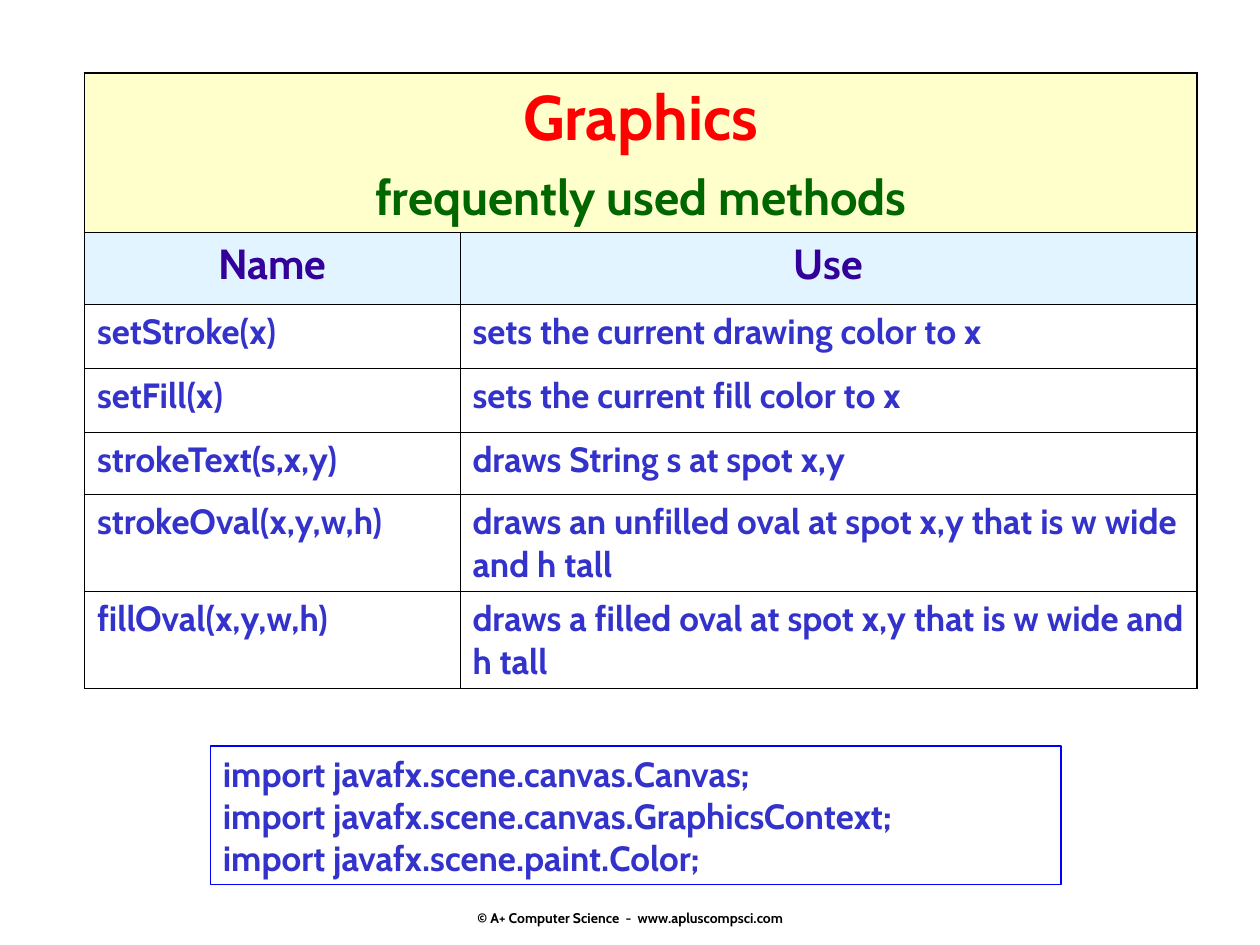
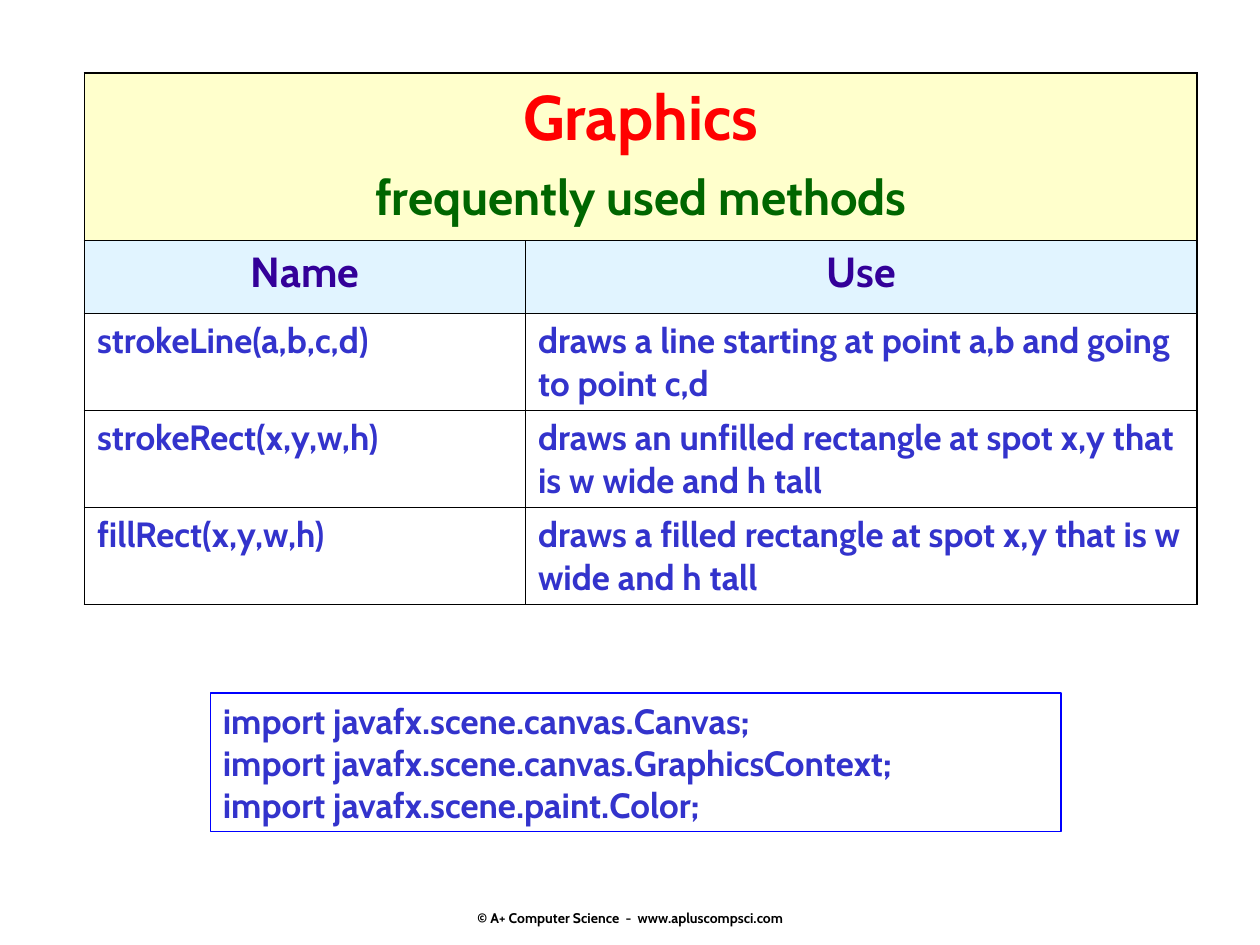
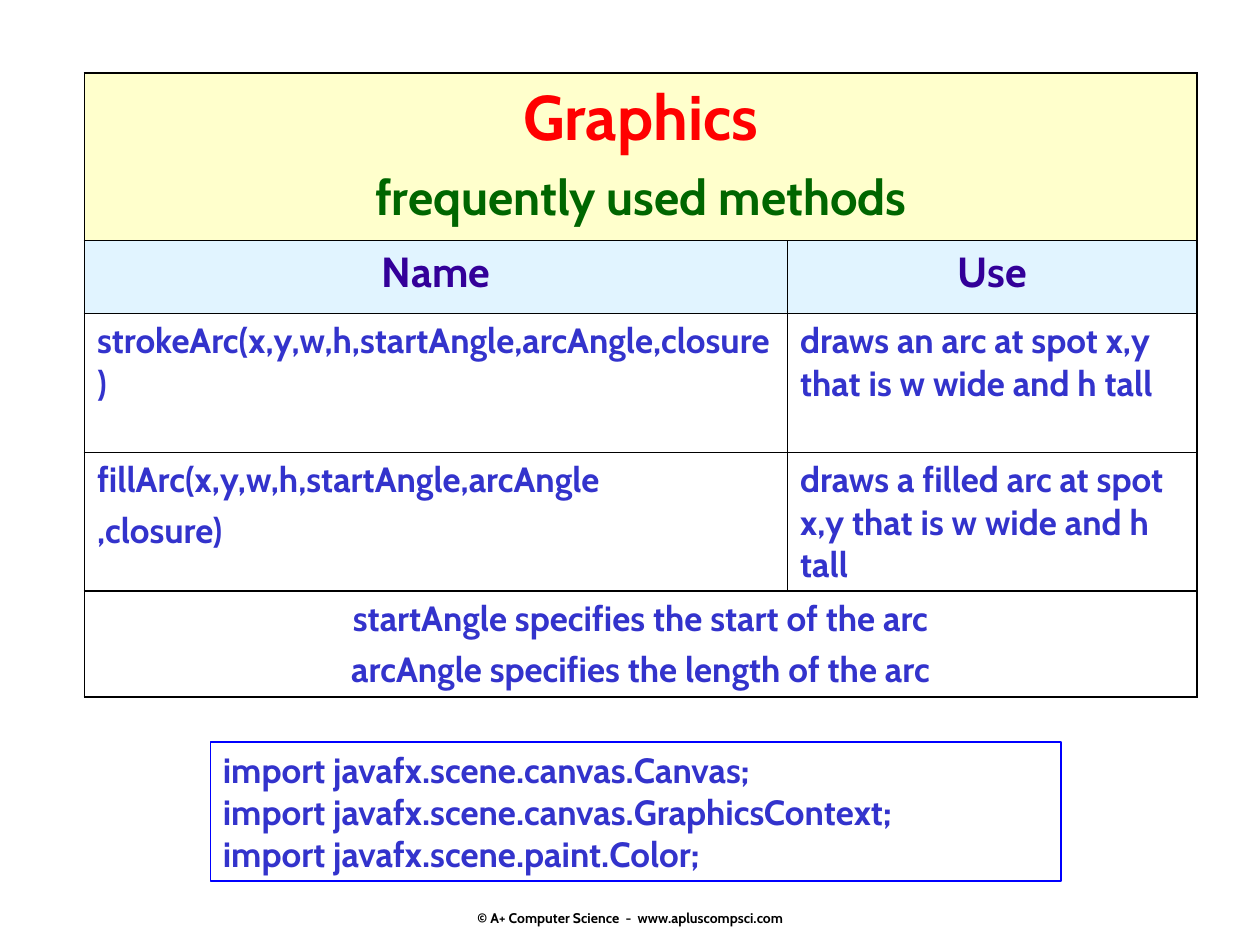
from dataclasses import dataclass

from lxml import etree
from pptx import Presentation
from pptx.dml import color as dml
from pptx.enum import shapes, text
from pptx.oxml import ns
from pptx.util import Inches, Pt


@dataclass(frozen=True)
class Theme:
    font: str = "Cabin"
    black: str = "000000"
    title: str = "FF0000"
    subtitle: str = "006600"
    heading: str = "330099"
    body: str = "3333CC"
    frame: str = "0000FF"
    title_fill: str = "FFFFCC"
    heading_fill: str = "E1F4FF"
    title_size: int = 36
    subtitle_size: int = 28
    heading_size: int = 24
    body_size: int = 20
    footer_size: int = 8
    thin: float = 0.45
    thick: float = 1.08
    frame_width: float = 1


THEME = Theme()
CENTER = text.PP_ALIGN.CENTER
LEFT = text.PP_ALIGN.LEFT
TABLE_BOX = (0.67, 0.58, 8.83)
FOOTER_BOX = (3.42, 6.85, 3.17, 0.5)
FOOTER = "© A+ Computer Science  -  www.apluscompsci.com"
IMPORTS = [
    "import javafx.scene.canvas.Canvas;",
    "import javafx.scene.canvas.GraphicsContext;",
    "import javafx.scene.paint.Color;",
]

PAGES = [
    dict(
        name_width=2.98,
        heights=[1.26, 0.57, 0.51, 0.51, 0.49, 0.77, 0.77],
        methods=[
            (["setStroke(x)"], "sets the current drawing color to x"),
            (["setFill(x)"], "sets the current fill color to x"),
            (["strokeText(s,x,y)"], "draws String s at spot x,y"),
            (["strokeOval(x,y,w,h)"],
             "draws an unfilled oval at spot x,y that is w wide and h tall"),
            (["fillOval(x,y,w,h)"],
             "draws a filled oval at spot x,y that is w wide and h tall"),
        ],
        notes=[],
        imports_top=5.92,
    ),
    dict(
        name_width=3.5,
        heights=[1.33, 0.58, 0.77, 0.77, 0.77],
        methods=[
            (["strokeLine(a,b,c,d)"],
             "draws a line starting at point a,b and going to point c,d"),
            (["strokeRect(x,y,w,h)"],
             "draws an unfilled rectangle at spot x,y that is w wide and h tall"),
            (["fillRect(x,y,w,h)"],
             "draws a filled rectangle at spot x,y that is w wide and h tall"),
        ],
        notes=[],
        imports_top=5.5,
    ),
    dict(
        name_width=5.58,
        heights=[1.33, 0.58, 1.1, 1.1, 0.84],
        methods=[
            (["strokeArc(x,y,w,h,startAngle,arcAngle,closure)"],
             "draws an arc at spot x,y that is w wide and h tall"),
            (["fillArc(x,y,w,h,startAngle,arcAngle", ",closure)"],
             "draws a filled arc at spot x,y that is w wide and h tall"),
        ],
        notes=[
            "startAngle specifies the start of the arc",
            "arcAngle specifies the length of the arc",
        ],
        imports_top=5.89,
    ),
]


def add_text(frame, words, size=THEME.body_size, color=THEME.body, align=LEFT, before=0):
    first = frame.paragraphs[0]
    para = frame.add_paragraph() if first.runs else first
    para.alignment = align
    para.space_before = Pt(before if first.runs else 0)
    span = para.add_run()
    span.text = words
    span.font.name = THEME.font
    span.font.size = Pt(size)
    span.font.bold = True
    span.font.color.rgb = dml.RGBColor.from_string(color)


def set_borders(cell, **widths):
    properties = cell._tc.get_or_add_tcPr()
    for side in "LRTB":
        line = etree.SubElement(properties, ns.qn(f"a:ln{side}"), w=str(Pt(widths[side])))
        fill = etree.SubElement(line, ns.qn("a:solidFill"))
        etree.SubElement(fill, ns.qn("a:srgbClr"), val=THEME.black)


def fill_cell(cell, color, opacity=100):
    cell.fill.solid()
    cell.fill.fore_color.rgb = dml.RGBColor.from_string(color)
    if opacity < 100:
        tint = cell._tc.tcPr.find(".//" + ns.qn("a:srgbClr"))
        etree.SubElement(tint, ns.qn("a:alpha"), val=str(opacity * 1000))


def add_grid(page, box, name_width, heights):
    left, top, width = box
    holder = page.shapes.add_table(
        len(heights), 2, Inches(left), Inches(top), Inches(width), Inches(sum(heights)))
    grid = holder.table
    grid.first_row = grid.horz_banding = False
    for column, size in zip(grid.columns, (name_width, width - name_width)):
        column.width = Inches(size)
    for row, height in zip(grid.rows, heights):
        row.height = Inches(height)
    return grid


def draw_borders(grid, has_notes):
    last = len(grid.rows) - 1
    thick_rules = {0, last + 1} | ({last} if has_notes else set())

    def rule(index):
        return THEME.thick if index in thick_rules else THEME.thin

    for index, row in enumerate(grid.rows):
        spans = index == 0 or (has_notes and index == last)
        inner = THEME.thick if spans else THEME.thin
        name, use = row.cells
        set_borders(name, L=THEME.thick, R=inner, T=rule(index), B=rule(index + 1))
        set_borders(use, L=inner, R=THEME.thick, T=rule(index), B=rule(index + 1))
        for cell in (name, use):
            cell.fill.background()
        if spans:
            name.merge(use)


def add_methods_table(page, box, name_width, heights, methods, notes):
    grid = add_grid(page, box, name_width, heights)
    draw_borders(grid, bool(notes))

    banner = grid.cell(0, 0)
    fill_cell(banner, THEME.title_fill)
    add_text(banner.text_frame, "Graphics", size=THEME.title_size,
             color=THEME.title, align=CENTER)
    add_text(banner.text_frame, "frequently used methods", size=THEME.subtitle_size,
             color=THEME.subtitle, align=CENTER, before=7)

    for column, heading in enumerate(("Name", "Use")):
        cell = grid.cell(1, column)
        fill_cell(cell, THEME.heading_fill, opacity=50)
        add_text(cell.text_frame, heading, size=THEME.heading_size,
                 color=THEME.heading, align=CENTER)

    for index, (signature, use) in enumerate(methods, start=2):
        for words in signature:
            add_text(grid.cell(index, 0).text_frame, words, before=5)
        add_text(grid.cell(index, 1).text_frame, use)

    for words in notes:
        add_text(grid.cell(len(heights) - 1, 0).text_frame, words, align=CENTER, before=5)


def add_imports(page, box):
    panel = page.shapes.add_shape(shapes.MSO_SHAPE.RECTANGLE, *map(Inches, box))
    panel.shadow.inherit = False
    panel.fill.background()
    panel.line.color.rgb = dml.RGBColor.from_string(THEME.frame)
    panel.line.width = Pt(THEME.frame_width)
    frame = panel.text_frame
    frame.word_wrap = True
    frame.auto_size = text.MSO_AUTO_SIZE.SHAPE_TO_FIT_TEXT
    frame.vertical_anchor = text.MSO_ANCHOR.TOP
    for words in IMPORTS:
        add_text(frame, words)


def add_footer(page, box):
    frame = page.shapes.add_textbox(*map(Inches, box)).text_frame
    frame.word_wrap = False
    frame.vertical_anchor = text.MSO_ANCHOR.BOTTOM
    frame.margin_bottom = 0
    add_text(frame, FOOTER, size=THEME.footer_size, color=THEME.black, align=CENTER)


def add_methods_page(deck, imports_top, **table):
    page = deck.slides.add_slide(deck.slide_layouts[6])
    add_footer(page, FOOTER_BOX)
    add_methods_table(page, TABLE_BOX, **table)
    add_imports(page, (1.67, imports_top, 6.75, 1.1))


def main():
    deck = Presentation()
    deck.slide_width = Inches(10)
    deck.slide_height = Inches(7.5)
    for content in PAGES:
        add_methods_page(deck, **content)
    deck.save("out.pptx")


if __name__ == "__main__":
    main()
